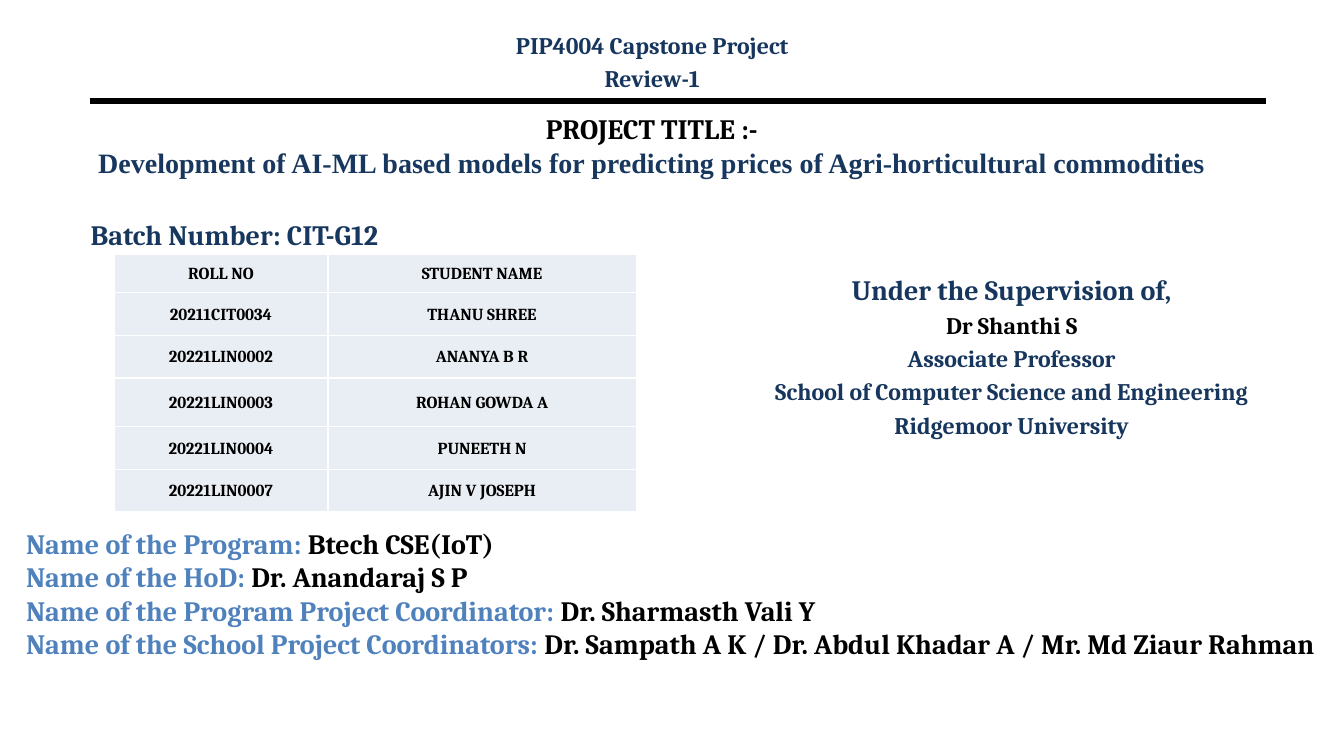
from dataclasses import dataclass

from lxml import etree
from pptx import Presentation
from pptx.dml.color import RGBColor
from pptx.enum.shapes import MSO_CONNECTOR
from pptx.enum.text import MSO_ANCHOR, MSO_AUTO_SIZE, PP_ALIGN
from pptx.oxml.ns import qn
from pptx.util import Inches, Pt

LEFT, CENTER = PP_ALIGN.LEFT, PP_ALIGN.CENTER
TOP, MIDDLE = MSO_ANCHOR.TOP, MSO_ANCHOR.MIDDLE
STRAIGHT = MSO_CONNECTOR.STRAIGHT
NO_AUTOFIT = MSO_AUTO_SIZE.NONE
TITLE_ONLY = 5
CELL = Inches(0.1)


@dataclass(frozen=True)
class Theme:
    serif: str = "Cambria"
    roman: str = "Times New Roman"
    black: str = "000000"
    white: str = "FFFFFF"
    navy: str = "17375E"
    deep_navy: str = "17365D"
    blue: str = "4F81BD"
    table_fill: str = "E9EDF4"
    heading: int = 20
    body: int = 17
    table: int = 12
    rule: float = 4.5
    border: int = 1


THEME = Theme()


@dataclass(frozen=True)
class Box:
    """A rectangle on a grid of 0.1 inch columns and rows."""
    left: float
    top: float
    width: float
    height: float

    def inner(self, left, top, width, height):
        return Box(self.left + left, self.top + top, width, height)

    def lengths(self):
        return [round(n * CELL) for n in (self.left, self.top, self.width, self.height)]


def add_span(para, text, color, size, font=THEME.serif):
    span = para.add_run()
    span.text = text
    span.font.name = font
    span.font.size = Pt(size)
    span.font.bold = True
    span.font.color.rgb = RGBColor.from_string(color)


def add_text(page, box, lines, align=LEFT, gap=0):
    """Each line is a list of (text, color, size) spans; gap is the space between lines."""
    frame = page.shapes.add_textbox(*box.lengths()).text_frame
    frame.word_wrap = True
    for index, spans in enumerate(lines):
        para = frame.add_paragraph() if index else frame.paragraphs[0]
        para.alignment = align
        para.space_before = Pt(gap if index else 0)
        for span in spans:
            add_span(para, *span)


def add_rule(page, box):
    left, top, width, _ = box.lengths()
    rule = page.shapes.add_connector(STRAIGHT, left, top, left + width, top)
    rule.line.color.rgb = RGBColor.from_string(THEME.black)
    rule.line.width = Pt(THEME.rule)
    etree.SubElement(rule._element.spPr, qn("a:effectLst"))


def add_header(page, box):
    lines = ["PIP4004 Capstone Project", "Review-1"]
    add_text(page, box.inner(34.1, 0, 43.4, 6),
             [[(line, THEME.deep_navy, THEME.body)] for line in lines], CENTER, 3.1)
    add_rule(page, box.inner(0, box.height, box.width, 0))


def add_project_title(page, box):
    title = page.shapes.title
    title.left, title.top, title.width, title.height = box.lengths()
    frame = title.text_frame
    frame.auto_size = NO_AUTOFIT
    frame.word_wrap = True
    frame.vertical_anchor = TOP
    para = frame.paragraphs[0]
    para.alignment = CENTER
    add_span(para, "PROJECT TITLE :-", THEME.black, THEME.heading)
    para.add_line_break()
    add_span(para, "Development of AI-ML based models for predicting prices of "
             "Agri-horticultural commodities", THEME.navy, THEME.heading, THEME.roman)


def set_borders(cell):
    properties = cell._tc.get_or_add_tcPr()
    for index, side in enumerate(("lnL", "lnR", "lnT", "lnB")):
        line = etree.Element(qn(f"a:{side}"), w=str(Pt(THEME.border)))
        fill = etree.SubElement(line, qn("a:solidFill"))
        etree.SubElement(fill, qn("a:srgbClr"), val=THEME.white)
        properties.insert(index, line)


def fill_cell(cell, text):
    cell.fill.solid()
    cell.fill.fore_color.rgb = RGBColor.from_string(THEME.table_fill)
    set_borders(cell)
    cell.vertical_anchor = MIDDLE
    cell.margin_left = cell.margin_right = cell.margin_top = Inches(0.01)
    cell.margin_bottom = 0
    para = cell.text_frame.paragraphs[0]
    para.alignment = CENTER
    add_span(para, text, THEME.black, THEME.table)


def add_student_table(page, box):
    students = [
        ("ROLL NO", "STUDENT NAME"),
        ("20211CIT0034", "THANU SHREE"),
        ("20221LIN0002", "ANANYA B R"),
        ("20221LIN0003", "ROHAN GOWDA A"),
        ("20221LIN0004", "PUNEETH N"),
        ("20221LIN0007", "AJIN V JOSEPH"),
    ]
    column_shares = (0.41, 0.59)
    row_weights = (3.85, 4.22, 4.22, 4.85, 4.22, 4.22)
    table = page.shapes.add_table(len(students), 2, *box.lengths()).table
    table.first_row = table.horz_banding = False
    for column, share in zip(table.columns, column_shares):
        column.width = round(box.width * share * CELL)
    for row, weight, student in zip(table.rows, row_weights, students):
        row.height = round(box.height * weight / sum(row_weights) * CELL)
        for cell, text in zip(row.cells, student):
            fill_cell(cell, text)


def add_team(page, box):
    add_text(page, box.inner(0, 0, 43.4, 6),
             [[("Batch Number: CIT-G12", THEME.navy, THEME.heading)]])
    add_student_table(page, box.inner(3.3, 4.1, 51.8, box.height - 4.1))


def add_supervision(page, box):
    details = ["Associate Professor", "School of Computer Science and Engineering",
               "Ridgemoor University"]
    lines = [[("Under the Supervision of,", THEME.deep_navy, THEME.heading)],
             [("Dr Shanthi S", THEME.black, THEME.body)]]
    lines += [[(detail, THEME.deep_navy, THEME.body)] for detail in details]
    add_text(page, box, lines, CENTER, 3.4)


def add_program_roles(page, box):
    roles = [
        ("Program", "Btech CSE(IoT)"),
        ("HoD", "Dr. Anandaraj S P"),
        ("Program Project Coordinator", "Dr. Sharmasth Vali Y"),
        ("School Project Coordinators",
         "Dr. Sampath A K / Dr. Abdul Khadar A / Mr. Md Ziaur Rahman"),
    ]
    add_text(page, box, [[(f"Name of the {role}: ", THEME.blue, THEME.heading),
                          (name, THEME.black, THEME.heading)] for role, name in roles])


def main():
    deck = Presentation()
    deck.slide_width, deck.slide_height = Inches(13.33), Inches(7.5)
    page = deck.slides.add_slide(deck.slide_layouts[TITLE_ONLY])
    add_header(page, Box(8.9, 2.6, 116.7, 7.4))
    add_project_title(page, Box(8, 10.6, 113.3, 10.5))
    add_team(page, Box(8, 21.1, 55.1, 29.7))
    add_supervision(page, Box(70.2, 26.5, 60.3, 22.1))
    add_program_roles(page, Box(1.6, 51.7, 134, 17.1))
    deck.save("out.pptx")


if __name__ == "__main__":
    main()
